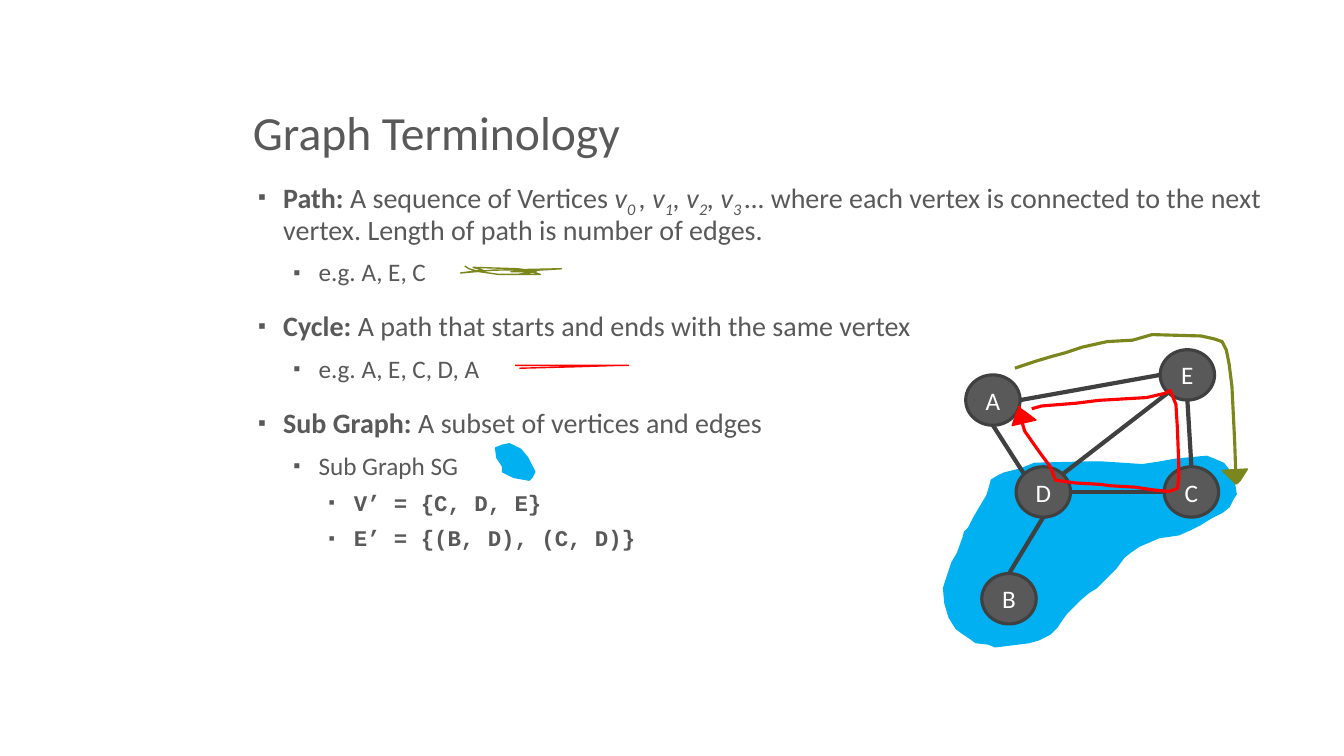
import pptx
import pptx.util
import pptx.dml.color
import pptx.enum.shapes
import pptx.enum.text
import pptx.oxml
import pptx.oxml.ns

Pt = pptx.util.Pt
GREY, DARK, WHITE = "595959", "404040", "FFFFFF"
BLUE, GREEN, RED = "00B0F0", "7B871D", "FF0000"


def color(value):
    return pptx.dml.color.RGBColor.from_string(value)


def set_format(target, values):
    for name, value in values.items():
        setattr(target, name, value)


deck = pptx.Presentation()
set_format(deck, {"slide_width": Pt(960), "slide_height": Pt(540)})
page = deck.slides.add_slide(deck.slide_layouts[1])
title, body = page.shapes.title, page.placeholders[1]

# Title
set_format(title, {"left": Pt(173.5), "top": Pt(23.8), "width": Pt(738), "height": Pt(94.3)})
set_format(title.text_frame, {
    "text": "Graph Terminology", "word_wrap": True,
    "vertical_anchor": pptx.enum.text.MSO_ANCHOR.BOTTOM,
    "auto_size": pptx.enum.text.MSO_AUTO_SIZE.NONE})
para = title.text_frame.paragraphs[0]
set_format(para, {"alignment": pptx.enum.text.PP_ALIGN.LEFT, "line_spacing": 0.9})
set_format(para.runs[0].font, {"name": "Calibri", "size": Pt(34)})
para.runs[0].font.color.rgb = color(GREY)

# Definitions: level and styled spans (b bold, i italic, s italic subscript)
definitions = [
    (0, [("Path:", "b"), (" A sequence of Vertices ", ""), ("v", "i"), ("0 ", "s"),
         (", v", "i"), ("1", "s"), (", v", "i"), ("2", "s"), (", v", "i"), ("3 ", "s"),
         ("… ", "i"), ("where each vertex is connected to the next vertex. "
                       "Length of path is number of edges.", "")]),
    (1, [("e.g. A, E, C", "")]),
    (0, [("Cycle:", "b"), (" A path that starts and ends with the same vertex", "")]),
    (1, [("e.g. A, E, C, D, A", "")]),
    (0, [("Sub Graph: ", "b"), ("A subset of vertices and edges", "")]),
    (1, [("Sub Graph SG", "")]),
    (2, [("V’ = {C, D, E}", "b")]),
    (2, [("E’ = {(B, D), (C, D)}", "b")]),
]
level_formats = [  # font, size, space before
    ("Calibri", 20, 18), ("Calibri", 18, 10), ("Courier New", 16, 8)]
set_format(body, {"left": Pt(173.5), "top": Pt(126), "width": Pt(738), "height": Pt(324)})
set_format(body.text_frame, {
    "word_wrap": True, "auto_size": pptx.enum.text.MSO_AUTO_SIZE.NONE,
    "vertical_anchor": pptx.enum.text.MSO_ANCHOR.TOP})
for index, (level, spans) in enumerate(definitions):
    font_name, size, before = level_formats[level]
    para = body.text_frame.add_paragraph() if index else body.text_frame.paragraphs[0]
    set_format(para, {"level": level, "line_spacing": 0.9,
                      "space_before": Pt(before), "space_after": Pt(0)})
    properties = para._p.get_or_add_pPr()
    properties.set("marL", str(Pt(21.6 + 25.2 * level)))
    properties.set("indent", str(Pt(-18)))
    for tag, key, value in [("buSzPct", "val", "80000"), ("buChar", "char", "▪")]:
        bullet = pptx.oxml.parse_xml(f'<a:{tag} {pptx.oxml.ns.nsdecls("a")}/>')
        bullet.set(key, value)
        properties.append(bullet)
    for text, style in spans:
        span = para.add_run()
        span.text = text
        set_format(span.font, {"name": font_name, "size": Pt(size),
                               "bold": style == "b", "italic": style in ("i", "s")})
        span.font.color.rgb = color(GREY)
        if style == "s":
            span.font._element.set("baseline", "-25000")

# Freehand marks: fill, line colour, line width, points
subgraph_area = [
    (708.5, 344.2), (704.9, 353.5), (702, 359.3), (696.2, 368.6), (691.9, 376.6), (689, 380.2),
    (688.3, 383.8), (684, 395.3), (679.7, 402.5), (676.8, 411.1), (673.9, 420.5), (675.4, 431.3),
    (678.2, 441.4), (682.6, 449.3), (686.9, 452.2), (692.6, 455.8), (697, 458.6), (706.3, 460.1),
    (711.4, 461.5), (735.1, 459.4), (741.6, 457.2), (749.5, 452.9), (755.3, 447.8), (758.9, 442.1),
    (762.5, 438.5), (766.8, 433.4), (771.8, 428.4), (777.6, 423.4), (782.6, 419.8), (789.8, 413.3),
    (797, 406.1), (802.8, 398.2), (807.8, 393.8), (814.3, 390.2), (820.8, 386.6), (828, 384.5),
    (841.7, 381.6), (851, 378), (856.8, 375.1), (864.7, 370.1), (873.4, 366.5), (877.7, 362.2),
    (880.6, 356.4), (882.7, 352.8), (880.6, 340.6), (877.7, 335.5), (874.1, 331.2), (866.9, 327.6),
    (861.8, 326.2), (840.2, 327.6), (828.7, 329.8), (815.8, 331.9), (786.2, 330.5), (780.5, 329.8),
    (739.4, 331.2), (729.4, 334.8), (717.1, 338.4), (712.8, 339.8), (707.8, 342.7)]
path_stroke = [
    (725, 262.8), (734.4, 259.9), (740.2, 257.8), (750.2, 254.9), (761, 252), (772.6, 248.4),
    (781.9, 246.2), (790.6, 244.1), (808.6, 242.6), (823, 239), (857.5, 240.5), (866.9, 241.9),
    (872.6, 244.1), (875.5, 249.8), (877.7, 259.9), (879.8, 275.8), (882, 316.1), (882.7, 346.3)]
path_key = [
    (331.9, 190.1), (334.8, 192.2), (342, 194.4), (355.7, 195.8), (385.9, 195.8), (377.3, 193),
    (370.1, 192.2), (337.7, 190.8), (344.9, 193), (329, 195.1), (352.1, 193), (401, 192.2),
    (384.5, 193), (365, 193.7), (383, 194.4), (370.1, 195.8)]
cycle_key = [(370.8, 262.8), (409.7, 262.1), (442.1, 261.4), (449.3, 260.6), (367.9, 260.6)]
cycle_stroke = [
    (736.6, 292.3), (744.5, 290.2), (769, 288), (784.8, 285.8), (819.4, 283.7), (832.3, 280.8),
    (835.9, 279.4), (839.5, 289.4), (841, 305.3), (842.4, 331.2), (842.4, 342), (841, 349.2),
    (835.2, 351.4), (824.4, 349.9), (810.7, 348.5), (792.7, 347), (786.2, 346.3), (768.2, 344.9),
    (753.8, 343.4), (749.5, 333.4), (744.5, 325.4), (739.4, 317.5), (732.2, 308.2),
    (728.6, 298.1), (727.9, 290.2)]
subgraph_key = [
    (354.2, 320.4), (359.3, 318.2), (363.6, 316.8), (366.5, 318.2), (372.2, 321.1), (377.3, 326.9),
    (380.2, 332.6), (381.6, 337), (380.2, 341.3), (378, 342.7), (367.2, 341.3), (361.4, 337.7),
    (359.3, 337), (358.6, 332.6), (357.1, 330.5), (355, 326.9)]
cycle_head = [(722.9, 303.8), (725.8, 295.2), (727.2, 293), (729.4, 291.6),
              (731.5, 293.8), (740.2, 299.5)]
path_head = [(890.6, 334.8), (885.6, 342.7), (884.2, 344.9), (882, 344.9),
             (879.8, 342.7), (877.7, 341.3), (872.6, 335.5)]
marks = [
    (BLUE, BLUE, 1, subgraph_area), (None, GREEN, 2.25, path_stroke), (None, GREEN, 1, path_key),
    (None, RED, 1, cycle_key), (None, RED, 2.25, cycle_stroke), (BLUE, BLUE, 1, subgraph_key),
    (RED, RED, 1, cycle_head), (GREEN, GREEN, 1, path_head)]


def draw_mark(fill, line, width, points):
    builder = page.shapes.build_freeform(*points[0], scale=float(Pt(1)))
    builder.add_line_segments(points[1:], close=fill is not None)
    mark = builder.convert_to_shape()
    mark.shadow.inherit = False
    mark.line.color.rgb = color(line)
    mark.line.width = Pt(width)
    if fill:
        mark.fill.solid()
        mark.fill.fore_color.rgb = color(fill)
    else:
        mark.fill.background()


# Subgraph area lies behind the graph
draw_mark(*marks[0])

# Graph vertices
node_width, node_height = 38.9, 36
nodes = {"A": (689.8, 267.8), "C": (831.6, 333.4), "B": (701.3, 409.7),
         "D": (725.8, 333.4), "E": (828.7, 249.8)}
for label, (left, top) in nodes.items():
    node = page.shapes.add_shape(pptx.enum.shapes.MSO_SHAPE.OVAL, Pt(left), Pt(top),
                                 Pt(node_width), Pt(node_height))
    node.shadow.inherit = False
    node.fill.solid()
    node.fill.fore_color.rgb = color(GREY)
    node.line.color.rgb = color(DARK)
    node.line.width = Pt(2.25)
    set_format(node.text_frame, {"text": label, "word_wrap": False,
                                 "vertical_anchor": pptx.enum.text.MSO_ANCHOR.MIDDLE})
    para = node.text_frame.paragraphs[0]
    para.alignment = pptx.enum.text.PP_ALIGN.CENTER
    set_format(para.runs[0].font, {"name": "Calibri", "size": Pt(18)})
    para.runs[0].font.color.rgb = color(WHITE)

# Graph edges run between points on the vertex rims, given as shares of the node size
rim = {"top": (0.5, 0), "bottom": (0.5, 1), "left": (0, 0.5), "right": (1, 0.5),
       "top left": (0.15, 0.15), "top right": (0.85, 0.15), "bottom left": (0.15, 0.85)}
edges = [("A", "bottom", "D", "top left"), ("B", "top", "D", "bottom"),
         ("C", "left", "D", "right"), ("C", "top", "E", "bottom"),
         ("A", "right", "E", "left"), ("D", "top right", "E", "bottom left")]
for first, first_side, second, second_side in edges:
    ends = []
    for label, side in [(first, first_side), (second, second_side)]:
        ends += [Pt(nodes[label][0] + rim[side][0] * node_width),
                 Pt(nodes[label][1] + rim[side][1] * node_height)]
    edge = page.shapes.add_connector(pptx.enum.shapes.MSO_CONNECTOR.STRAIGHT, *ends)
    edge.line.color.rgb = color(DARK)
    edge.line.width = Pt(3)
    edge._element.spPr.append(
        pptx.oxml.parse_xml(f'<a:effectLst {pptx.oxml.ns.nsdecls("a")}/>'))

# Strokes, keys and arrowheads lie on top
for mark_format in marks[1:]:
    draw_mark(*mark_format)

deck.save("out.pptx")
